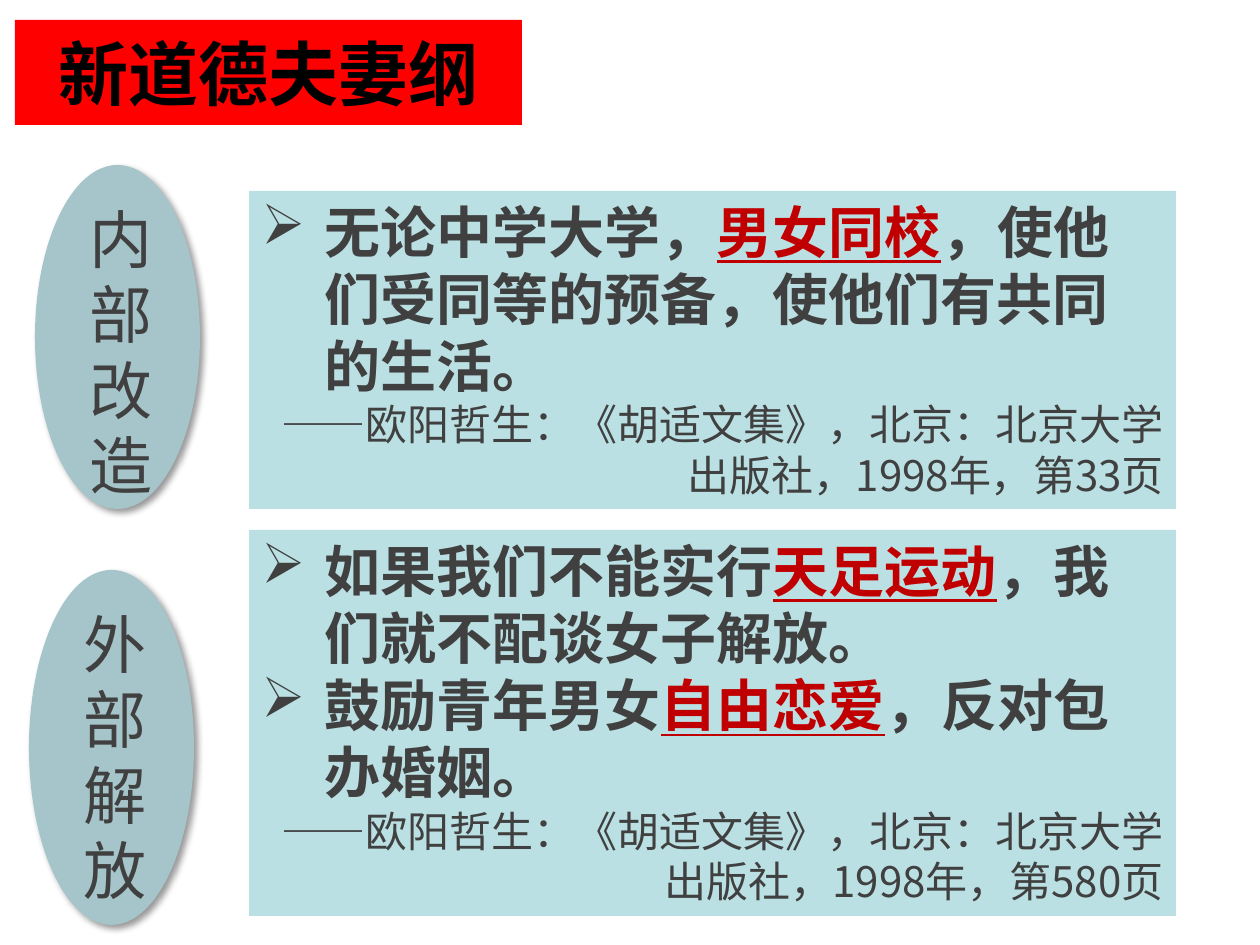
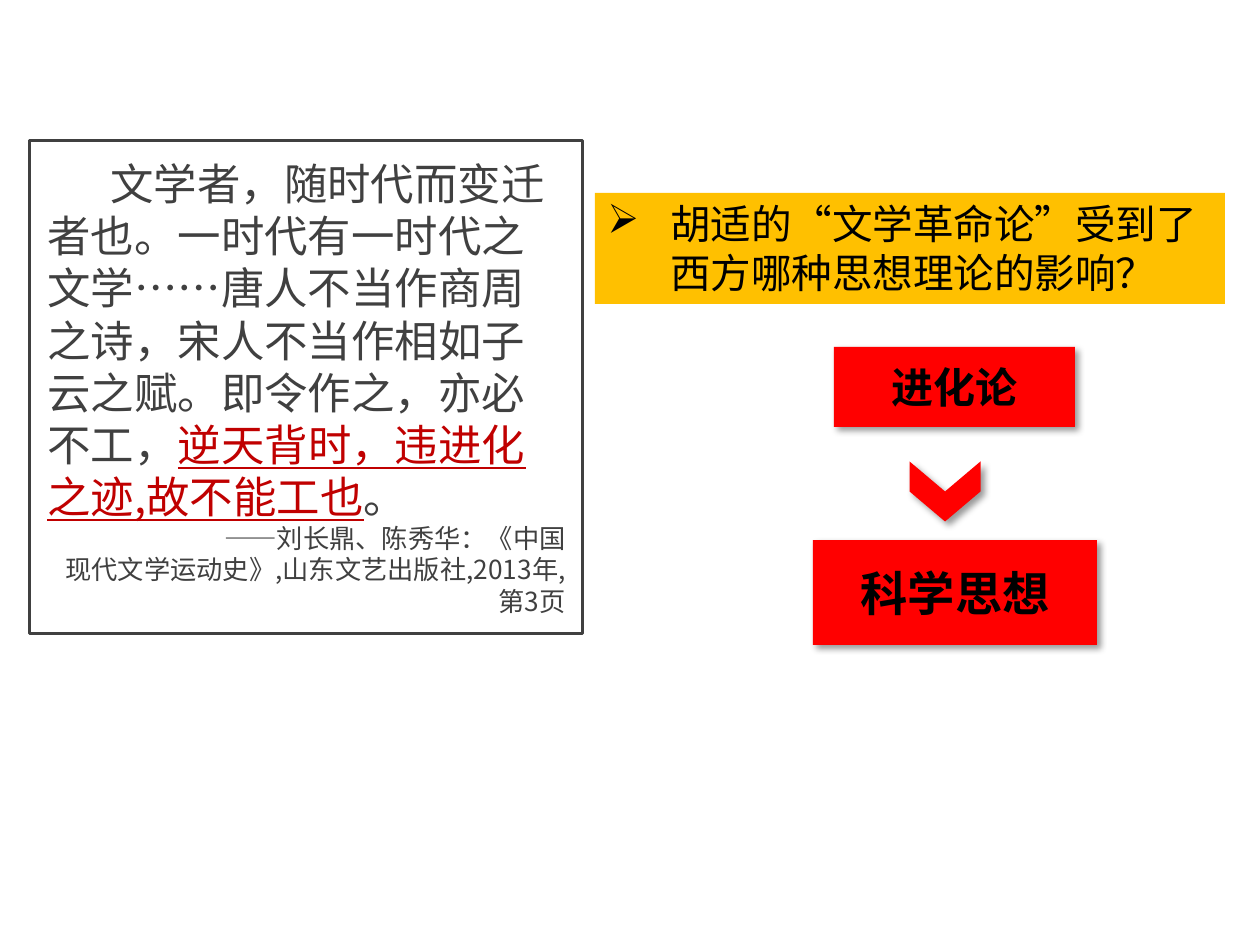
"""Build two slides on Hu Shi: new morals of marriage, and literary evolution."""
from lxml import etree
from pptx import Presentation, util as u
from pptx.dml.color import RGBColor
from pptx.enum import shapes, text
from pptx.oxml.ns import qn

PX = u.Inches(1) / 126
FONT = "Noto Sans CJK SC"
RED = RGBColor(0xFF, 0x00, 0x00)
CRIMSON = RGBColor(0xC0, 0x00, 0x00)
GRAY = RGBColor(0x40, 0x40, 0x40)
BLACK = RGBColor(0x00, 0x00, 0x00)
WHITE = RGBColor(0xFF, 0xFF, 0xFF)
AMBER = RGBColor(0xFF, 0xC0, 0x00)
TEAL = RGBColor(0xA6, 0xC5, 0xCA)
PALE = RGBColor(0xBB, 0xE0, 0xE3)

SHAPE = shapes.MSO_SHAPE
LEFT, CENTER, RIGHT = text.PP_ALIGN.LEFT, text.PP_ALIGN.CENTER, text.PP_ALIGN.RIGHT
TOP, MIDDLE = text.MSO_ANCHOR.TOP, text.MSO_ANCHOR.MIDDLE
PLAIN = {"size": 24, "color": GRAY, "align": LEFT}
QUOTE = {**PLAIN, "size": 32, "bold": True, "margin": 63, "indent": -63, "bullet": "➢"}
SOURCE = {**PLAIN, "align": RIGHT}
LABEL = {**PLAIN, "size": 36, "align": CENTER}
BANNER = {"size": 40, "color": BLACK, "align": CENTER, "bold": True}


def box(s, kind, place, fill, shadow=False):
    sp = s.shapes.add_shape(kind, *[round(n * PX) for n in place])
    sp.fill.solid()
    sp.fill.fore_color.rgb = fill
    sp.line.fill.background()
    sp.shadow.inherit = False
    if shadow:
        effects = sp._element.spPr.find(qn("a:effectLst"))
        shade = etree.SubElement(effects, qn("a:outerShdw"), blurRad=str(u.Pt(4)),
                                 dist=str(u.Pt(3)), dir="2700000", algn="tl", rotWithShape="0")
        color = etree.SubElement(shade, qn("a:srgbClr"), val="000000")
        etree.SubElement(color, qn("a:alpha"), val="40000")
    return sp


def write(sp, paragraphs, anchor=TOP):
    tf = sp.text_frame
    tf.word_wrap = True
    tf.auto_size = text.MSO_AUTO_SIZE.NONE
    tf.vertical_anchor = anchor
    for i, (fmt, *parts) in enumerate(paragraphs):
        p = tf.add_paragraph() if i else tf.paragraphs[0]
        p.alignment = fmt["align"]
        p.line_spacing = u.Pt(round(fmt["size"] * 1.2, 1))
        pPr = p._p.get_or_add_pPr()
        for key, name in (("margin", "marL"), ("indent", "indent")):
            pPr.set(name, str(round(fmt.get(key, 0) * PX)))
        if "bullet" in fmt:
            etree.SubElement(pPr, qn("a:buChar"), char=fmt["bullet"])
        for j, part in enumerate(parts):
            r = p.add_run()
            r.text = part
            stressed = j % 2 == 1
            values = {"size": u.Pt(fmt["size"]), "bold": fmt.get("bold", False),
                      "underline": stressed, "name": FONT}
            for name, value in values.items():
                setattr(r.font, name, value)
            r.font.color.rgb = CRIMSON if stressed else fmt["color"]
            etree.SubElement(r._r.get_or_add_rPr(), qn("a:ea"), typeface=FONT)


prs = Presentation()
prs.slide_width, prs.slide_height = u.Inches(10), u.Inches(7.5)

s = prs.slides.add_slide(prs.slide_layouts[5])
title = s.shapes.title
for name, value in zip(("left", "top", "width", "height"), (15, 20, 507, 105)):
    setattr(title, name, round(value * PX))
title.fill.solid()
title.fill.fore_color.rgb = RED
write(title, [(BANNER, "新道德夫妻纲")], MIDDLE)

CITATION = "——欧阳哲生：《胡适文集》，北京：北京大学出版社，1998年，第{}页"
themes = [
    (("内部", "改造"), (35, 165, 165, 344), (191, 318), 33,
     [("无论中学大学，", "男女同校", "，使他们受同等的预备，使他们有共同的生活。")]),
    (("外部", "解放"), (29, 570, 165, 355), (530, 386), 580,
     [("如果我们不能实行", "天足运动", "，我们就不配谈女子解放。"),
      ("鼓励青年男女", "自由恋爱", "，反对包办婚姻。")]),
]
for label, oval, (top, height), page, quotes in themes:
    box(s, SHAPE.OVAL, oval, TEAL, shadow=True)
    place = (oval[0] + 25, oval[1] + 29, 121, 318)
    caption = s.shapes.add_textbox(*[round(n * PX) for n in place])
    write(caption, [(LABEL, word) for word in label])
    panel = box(s, SHAPE.RECTANGLE, (249, top, 927, height), PALE)
    write(panel, [(QUOTE, *q) for q in quotes] + [(SOURCE, CITATION.format(page))])

s = prs.slides.add_slide(prs.slide_layouts[6])
frame = box(s, SHAPE.RECTANGLE, (30, 141, 553, 493), WHITE)
frame.line.color.rgb = GRAY
frame.line.width = u.Pt(1.75)
passage = s.shapes.add_textbox(*[round(n * PX) for n in (35, 151, 543, 476)])
write(passage, [
    ({**PLAIN, "size": 24.8, "indent": 63},
     "文学者，随时代而变迁者也。一时代有一时代之文学……唐人不当作商周之诗，"
     "宋人不当作相如子云之赋。即令作之，亦必不工，",
     "逆天背时，违进化之迹,故不能工也", "。"),
    ({**SOURCE, "size": 15, "indent": 165},
     "——刘长鼎、陈秀华：《中国现代文学运动史》,山东文艺出版社,2013年,第3页"),
])

question = box(s, SHAPE.RECTANGLE, (595, 193, 630, 111), AMBER)
write(question, [({**QUOTE, "size": 23.2, "color": BLACK, "bold": False},
                  "胡适的“文学革命论”受到了西方哪种思想理论的影响？")])

for answer, place, size in (("进化论", (834, 347, 241, 80), 24),
                            ("科学思想", (813, 540, 284, 105), 27)):
    write(box(s, SHAPE.RECTANGLE, place, RED, shadow=True),
          [({**BANNER, "size": size}, answer)], MIDDLE)
chevron = box(s, SHAPE.CHEVRON, (915, 456, 60, 71), RED, shadow=True)
chevron.rotation = 90

prs.save("out.pptx")
